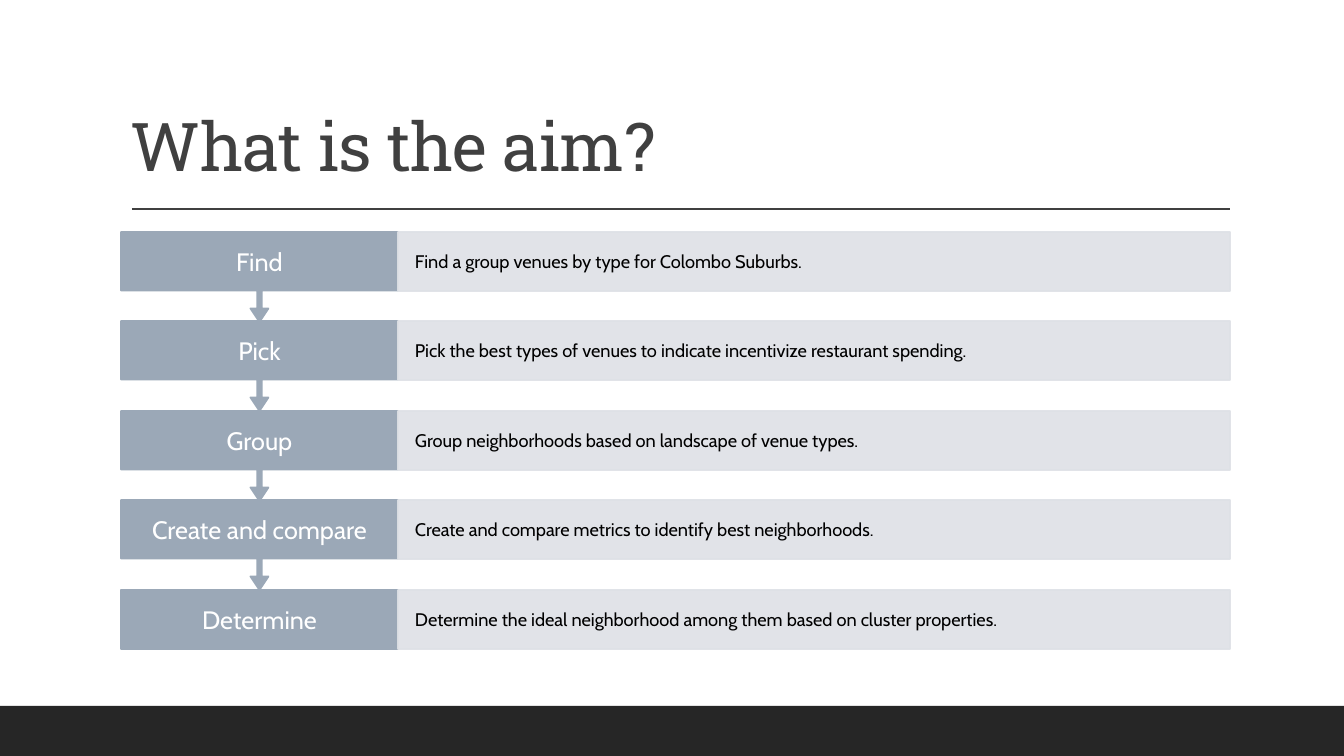
from lxml.etree import SubElement
from pptx import Presentation
from pptx.dml.color import RGBColor
from pptx.enum.shapes import MSO_CONNECTOR as CONN, MSO_SHAPE as SHAPE
from pptx.enum.text import MSO_ANCHOR as ANCHOR, PP_ALIGN as ALIGN
from pptx.oxml.ns import qn
from pptx.util import Pt

PX = 914400 / 100.8
WIDTH, HEIGHT = 1344, 756
DARK, BLUE, PALE = "404040", "9BA8B7", "DEE1E6"
STEPS = [
    ("Find", "Find a group venues by type for Colombo Suburbs."),
    ("Pick", "Pick the best types of venues to indicate incentivize restaurant spending."),
    ("Group", "Group neighborhoods based on landscape of venue types."),
    ("Create and compare", "Create and compare metrics to identify best neighborhoods."),
    ("Determine", "Determine the ideal neighborhood among them based on cluster properties."),
]


def px(*values):
    return [round(v * PX) for v in values]


def rgb(color):
    return RGBColor.from_string(color)


def write(sp, text, font, size, color, margins, anchor=ANCHOR.MIDDLE, align=ALIGN.LEFT):
    tf = sp.text_frame
    tf.text = text
    tf.word_wrap = True
    tf.vertical_anchor = anchor
    tf.margin_left, tf.margin_top = px(*margins)
    tf.margin_right, tf.margin_bottom = px(*margins)
    p = tf.paragraphs[0]
    p.alignment = align
    r = p.runs[0]
    r.font.name = font
    r.font.size = Pt(size)
    r.font.color.rgb = rgb(color)
    return p


def add_block(s, kind, box, color, alpha=100):
    sp = s.shapes.add_shape(kind, *px(*box))
    sp.shadow.inherit = False
    sp.fill.solid()
    sp.fill.fore_color.rgb = rgb(color)
    sp.line.color.rgb = rgb(color)
    sp.line.width = Pt(1.25)
    if alpha < 100:
        for clr in sp._element.spPr.iter(qn("a:srgbClr")):
            SubElement(clr, qn("a:alpha"), val=str(alpha * 1000))
    return sp


def add_title(s, x, y, w, h):
    sp = s.shapes.add_textbox(*px(x, y, w, h))
    p = write(sp, "What is the aim?", "Roboto Slab", 48, DARK, (10, 5), ANCHOR.BOTTOM)
    p.line_spacing = 0.9
    p.runs[0].font._element.set("spc", "-50")
    rule_y = y + h + 18
    rule = s.shapes.add_connector(CONN.STRAIGHT, *px(x + 11, rule_y, x + w, rule_y))
    rule.line.color.rgb = rgb(DARK)
    rule.line.width = Pt(1)
    SubElement(rule._element.spPr, qn("a:effectLst"))


def add_step(s, x, y, w, h, label, detail, arrow_h):
    label_w = w // 4
    kind = SHAPE.DOWN_ARROW_CALLOUT if arrow_h else SHAPE.RECTANGLE
    sp = add_block(s, kind, (x, y, label_w, h + arrow_h), BLUE)
    if arrow_h:
        for i, value in enumerate((0.05, 0.1, 0.15, 0.65)):
            sp.adjustments[i] = value
    write(sp, label, "Cabin", 18, "FFFFFF", (20, 14), align=ALIGN.CENTER)
    sp = add_block(s, SHAPE.RECTANGLE, (x + label_w, y, w - label_w, h), PALE, 90)
    write(sp, detail, "Cabin", 13, "000000", (17, 18))


def add_steps(s, x, y, w, h):
    row_h = 59
    last = len(STEPS) - 1
    for i, (label, detail) in enumerate(STEPS):
        top = y + (h - row_h) * i // last
        add_step(s, x, top, w, row_h, label, detail, 31 if i < last else 0)


def add_footer(s, x, y, w, h):
    sp = add_block(s, SHAPE.RECTANGLE, (x, y, w, h), "262626")
    sp.line.fill.background()


def main():
    prs = Presentation()
    prs.slide_width, prs.slide_height = px(WIDTH, HEIGHT)
    s = prs.slides.add_slide(prs.slide_layouts[6])
    add_title(s, 121, 31, 1109, 160)
    add_footer(s, 0, 706, WIDTH, 50)
    add_steps(s, 121, 232, 1109, 417)
    prs.save("out.pptx")


if __name__ == "__main__":
    main()
